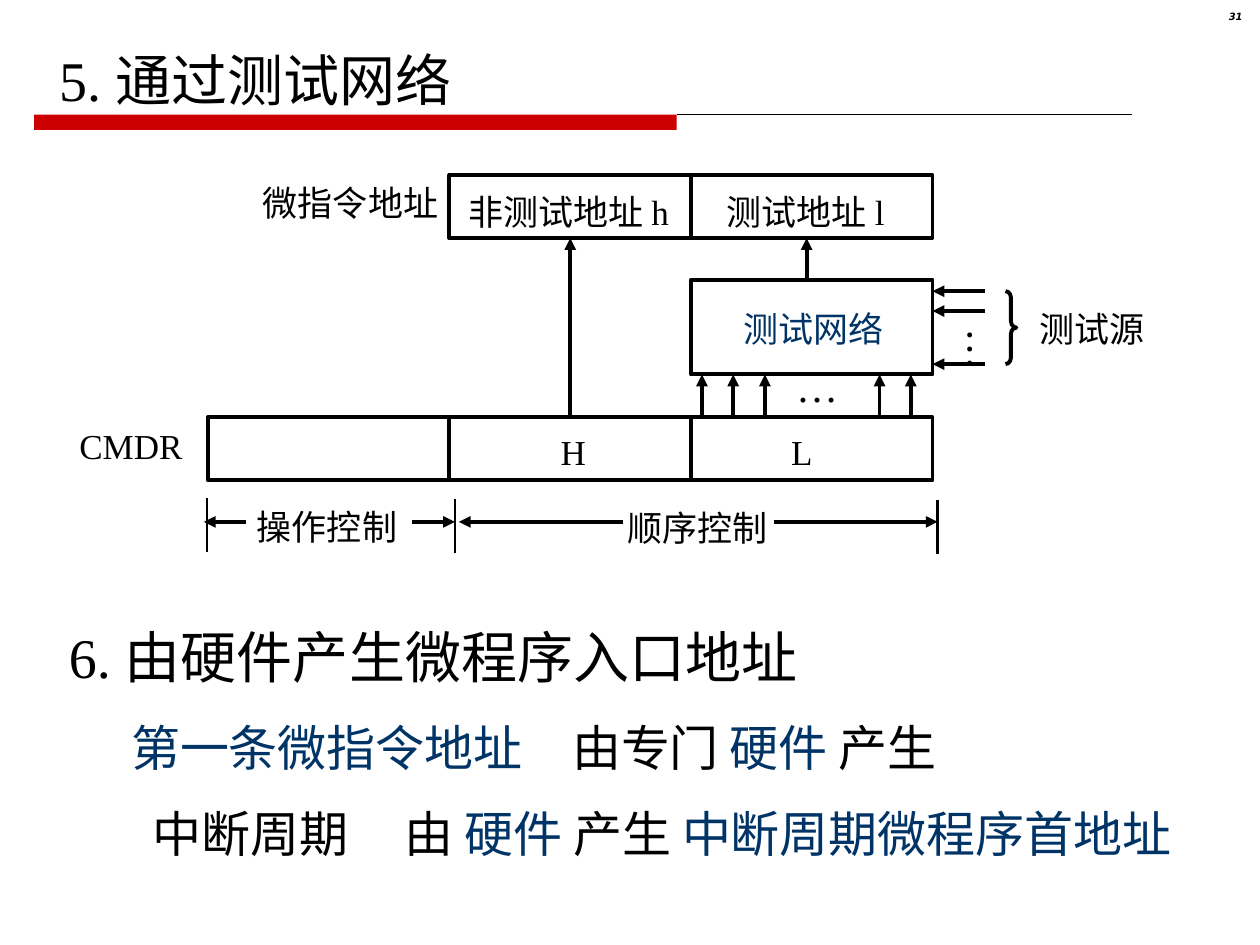
from dataclasses import dataclass
from typing import Optional

from lxml.etree import SubElement
from pptx import Presentation
from pptx.dml.color import RGBColor
from pptx.enum.shapes import MSO_CONNECTOR, MSO_SHAPE
from pptx.enum.text import MSO_ANCHOR, MSO_AUTO_SIZE, PP_ALIGN
from pptx.oxml.ns import qn
from pptx.util import Cm, Pt

COLORS = {"ink": "000000", "accent": "003366", "bar": "CC0000"}
SERIF, SANS = "Times New Roman", "DejaVu Sans"

# Diagram grid in centimetres
CELL_W, CELL_H = 4.87, 1.27
COLUMNS = [4.19 + CELL_W * i for i in range(3)]
RIGHT = COLUMNS[-1] + CELL_W
ADDRESS_TOP, NETWORK_TOP, NETWORK_H, CMDR_TOP = 3.53, 5.64, 1.91, 8.41
SPAN_Y = 10.52


@dataclass
class Span:
    text: str
    size: float = 20
    color: str = "ink"
    font: str = SERIF
    bold: bool = False
    italic: bool = False


@dataclass
class Label:
    span: Span
    left: float
    top: float
    width: float
    height: float = 1.12


@dataclass
class Stroke:
    start: tuple[float, float]
    end: tuple[float, float]
    width: float = 2.25
    arrow: bool = True


def rgb(name: str) -> RGBColor:
    return RGBColor.from_string(COLORS[name])


def place(shape, left: float, top: float, width: float, height: float) -> None:
    for name, value in dict(left=left, top=top, width=width, height=height).items():
        setattr(shape, name, Cm(value))


def add_spans(para, spans: list[Span]) -> None:
    for span in spans:
        run = para.add_run()
        run.text = span.text
        formats = dict(size=Pt(span.size), name=span.font, bold=span.bold, italic=span.italic)
        for name, value in formats.items():
            setattr(run.font, name, value)
        run.font.color.rgb = rgb(span.color)


def set_frame(frame, **formats) -> None:
    for name, value in formats.items():
        setattr(frame, name, value)


def add_label(page, label: Label, wrap: bool = False):
    box = page.shapes.add_textbox(
        Cm(label.left), Cm(label.top), Cm(label.width), Cm(label.height))
    set_frame(box.text_frame, word_wrap=wrap, auto_size=MSO_AUTO_SIZE.SHAPE_TO_FIT_TEXT)
    add_spans(box.text_frame.paragraphs[0], [label.span])
    return box


def add_outline(page, kind, left: float, top: float, width: float, height: float):
    shape = page.shapes.add_shape(kind, Cm(left), Cm(top), Cm(width), Cm(height))
    shape.shadow.inherit = False
    shape.fill.background()
    shape.line.color.rgb = rgb("ink")
    shape.line.width = Pt(2.25)
    return shape


def add_stroke(page, stroke: Stroke):
    points = [Cm(value) for value in (*stroke.start, *stroke.end)]
    connector = page.shapes.add_connector(MSO_CONNECTOR.STRAIGHT, *points)
    connector.line.color.rgb = rgb("ink")
    connector.line.width = Pt(stroke.width)
    if stroke.arrow:
        SubElement(connector.line._get_or_add_ln(), qn("a:tailEnd"), type="triangle")
    SubElement(connector._element.spPr, qn("a:effectLst"))
    return connector


def set_item(para, spans: list[Span], indent: float, tab: Optional[float], before: float) -> None:
    """Format a body paragraph without bullet, with one tab stop."""
    properties = para._p.get_or_add_pPr()
    properties.set("marL", str(Cm(indent)))
    properties.set("indent", "0")
    SubElement(properties, qn("a:buNone"))
    if tab is not None:
        stops = SubElement(properties, qn("a:tabLst"))
        SubElement(stops, qn("a:tab"), pos=str(Cm(tab)), algn="l")
    para.space_before = Pt(before)
    para.line_spacing = 1.0
    add_spans(para, spans)


def add_heading(page) -> None:
    title = page.shapes.title
    place(title, 0.94, 0.79, 20.19, 1.63)
    set_frame(title.text_frame, word_wrap=True, auto_size=MSO_AUTO_SIZE.NONE,
              vertical_anchor=MSO_ANCHOR.TOP)
    para = title.text_frame.paragraphs[0]
    para.alignment = PP_ALIGN.LEFT
    add_spans(para, [Span("5. ", 32), Span("通过测试网络", 32, font=SANS)])

    bar = page.shapes.add_shape(MSO_SHAPE.RECTANGLE, Cm(0.69), Cm(2.31), Cm(12.95), Cm(0.31))
    bar.shadow.inherit = False
    bar.fill.solid()
    bar.fill.fore_color.rgb = rgb("bar")
    bar.line.fill.background()
    add_stroke(page, Stroke((13.64, 2.31), (22.81, 2.31), 0.75, arrow=False))

    number = Label(Span("31", 5.7, font=SANS, bold=True, italic=True), 23.8, 0.13, 1.5, 0.58)
    para = add_label(page, number, wrap=True).text_frame.paragraphs[0]
    para.alignment = PP_ALIGN.RIGHT
    para.line_spacing = 0.8


def add_diagram(page) -> None:
    address = [add_outline(page, MSO_SHAPE.RECTANGLE, left, ADDRESS_TOP, CELL_W, CELL_H)
               for left in COLUMNS[1:]]
    cmdr = [add_outline(page, MSO_SHAPE.RECTANGLE, left, CMDR_TOP, CELL_W, CELL_H)
            for left in COLUMNS]
    add_outline(page, MSO_SHAPE.RECTANGLE, COLUMNS[2], NETWORK_TOP, CELL_W, NETWORK_H)
    brace = add_outline(page, MSO_SHAPE.RIGHT_BRACE, 20.27, 5.87, 0.22, 1.47)
    brace.adjustments[0] = 0.58

    network_bottom, address_bottom = NETWORK_TOP + NETWORK_H, ADDRESS_TOP + CELL_H
    middle = COLUMNS[1] + CELL_W / 2
    link = add_stroke(page, Stroke((middle, CMDR_TOP), (middle, address_bottom)))
    link.begin_connect(cmdr[1], 0)
    link.end_connect(address[0], 2)

    strokes = [Stroke((16.26, NETWORK_TOP), (16.26, address_bottom))]
    strokes += [Stroke((x, CMDR_TOP), (x, network_bottom))
                for x in (14.15, 14.78, 15.42, 17.73, 18.36)]
    strokes += [Stroke((19.86, y), (RIGHT, y)) for y in (5.87, 6.27, 7.34)]
    strokes += [Stroke((start, SPAN_Y), (end, SPAN_Y)) for start, end in
                ((4.95, 4.11), (8.31, 9.17), (12.55, 9.25), (15.6, 18.9))]
    strokes += [Stroke((x, top), (x, top + 1.09), 1.5, arrow=False)
                for x, top in ((4.17, 10.03), (9.17, 10.06), (18.9, 10.08))]
    for stroke in strokes:
        add_stroke(page, stroke)

    labels = [
        Label(Span("微指令地址"), 5.05, 3.53, 4.04),
        Label(Span("非测试地址 h"), 9.19, 3.71, 4.72),
        Label(Span("测试地址 l"), 14.4, 3.71, 3.86),
        Label(Span("测试网络", color="accent"), 14.73, 6.07, 3.33),
        Label(Span("测试源"), 20.7, 6.07, 2.62),
        Label(Span("…", 24), 15.8, 7.14, 1.35, 1.27),
        Label(Span("CMDR"), 1.35, 8.43, 2.59),
        Label(Span("H"), 11.05, 8.56, 1.02),
        Label(Span("L"), 15.7, 8.56, 0.94),
        Label(Span("操作控制"), 4.93, 10.06, 3.33),
        Label(Span("顺序控制"), 12.4, 10.08, 3.33),
    ]
    for label in labels:
        add_label(page, label)

    dots = add_label(page, Label(Span("…", 24), 18.97, 6.38, 1.52, 1.12)).text_frame
    dots._txBody.bodyPr.set("vert", "eaVert")
    set_frame(dots, margin_left=Cm(0.13), margin_right=Cm(0.13),
              margin_top=Cm(0.25), margin_bottom=Cm(0.25))


def add_entry_section(page) -> None:
    heading = add_label(page, Label(Span("6. 由硬件产生", 32), 1.14, 12.42, 17.75, 1.63), wrap=True)
    add_spans(heading.text_frame.paragraphs[0], [Span("微程序入口地址", 32, font=SANS)])

    body = page.placeholders[1]
    place(body, 2.39, 14.33, 22.3, 3.3)
    frame = body.text_frame
    set_frame(frame, word_wrap=True, auto_size=MSO_AUTO_SIZE.NONE)
    first = [("第一条微指令地址", "accent"), ("\t由专门 ", "ink"),
             ("硬件 ", "accent"), ("产生", "ink")]
    second = [("中断周期\t由 ", "ink"), ("硬件 ", "accent"),
              ("产生 ", "ink"), ("中断周期微程序首地址", "accent")]
    items = [(frame.paragraphs[0], first, 0, 9, 0),
             (frame.add_paragraph(), second, 0.43, 5.25, 16)]
    for para, parts, indent, tab, before in items:
        spans = [Span(text, 28, color, SANS) for text, color in parts]
        set_item(para, spans, indent, tab, before)


def main() -> None:
    deck = Presentation()
    deck.slide_width, deck.slide_height = Cm(25.4), Cm(19.05)
    page = deck.slides.add_slide(deck.slide_layouts[1])
    add_heading(page)
    add_diagram(page)
    add_entry_section(page)
    deck.save("out.pptx")


if __name__ == "__main__":
    main()
